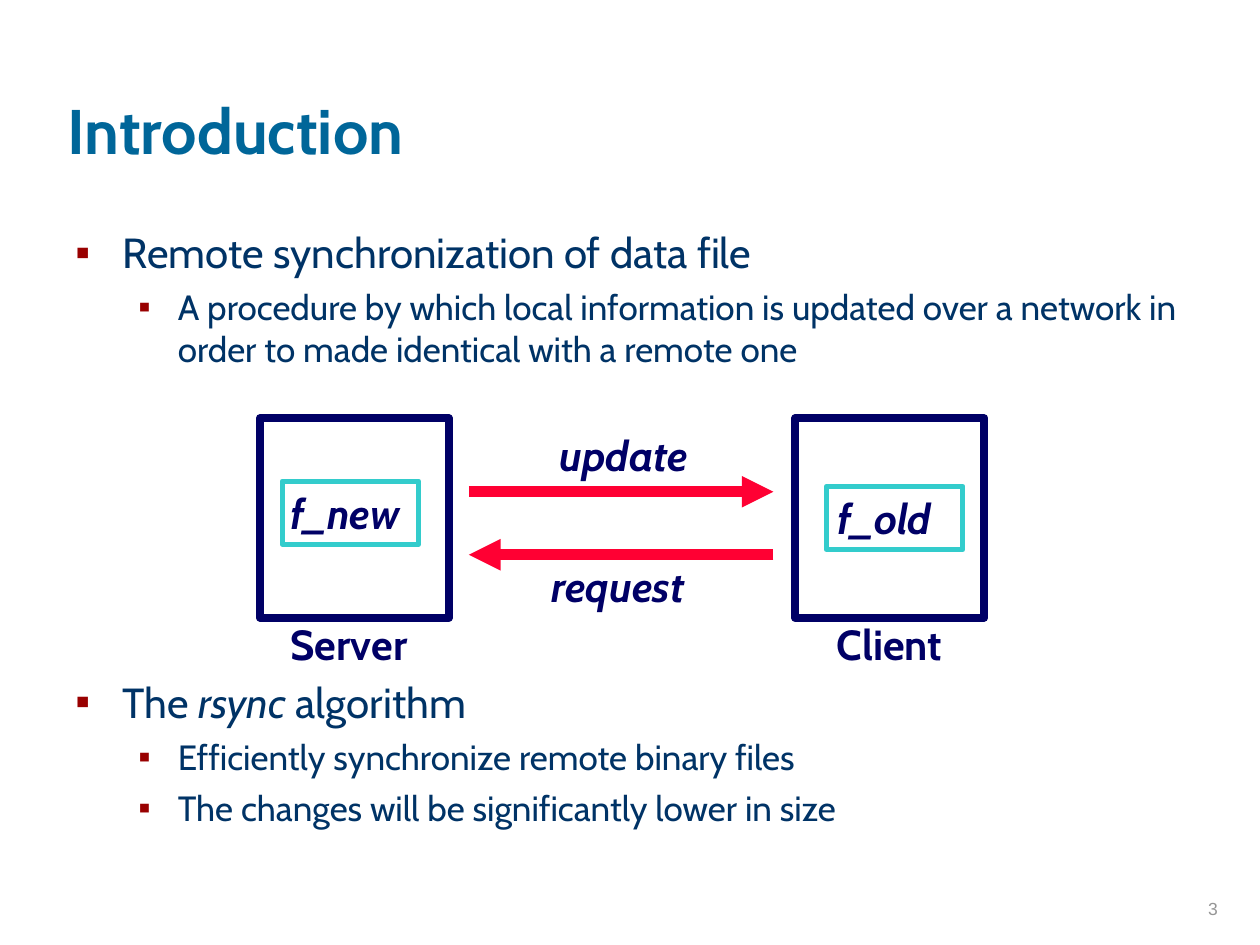
import pptx
import pptx.util
import pptx.dml.color
import pptx.enum.shapes
import pptx.enum.text
import pptx.oxml.ns
import lxml.etree

Pt = pptx.util.Pt
RGBColor = pptx.dml.color.RGBColor
ALIGN = pptx.enum.text.PP_ALIGN
ANCHOR = pptx.enum.text.MSO_ANCHOR
FIT = pptx.enum.text.MSO_AUTO_SIZE

TEAL = RGBColor(0x00, 0x66, 0x99)
BODY_BLUE = RGBColor(0x00, 0x33, 0x66)
NAVY = RGBColor(0x00, 0x00, 0x66)
CYAN = RGBColor(0x33, 0xCC, 0xCC)
RED = RGBColor(0xFF, 0x00, 0x33)
GREY = RGBColor(0x96, 0x96, 0x96)
BULLET_RED = RGBColor(0x99, 0x00, 0x00)

TITLE = "Introduction"
PAGE_NUMBER = "3"

# level, space before, spans of (text, italic)
BULLETS = [
    (0, 0, [("Remote synchronization of data file", False)]),
    (1, 5, [("A procedure by which local information is updated over a network in "
             "order to made identical with a remote one", False)]),
    (0, 175, [("The ", False), ("rsync", True), (" algorithm", False)]),
    (1, 5, [("Efficiently synchronize remote binary files", False)]),
    (1, 5, [("The changes will be significantly lower in size", False)]),
]
LEVELS = [(24, 27, -27), (20, 58.5, -22.5)]

MACHINES = [(148.5, 239, 108, 114), (454.5, 239, 108, 114)]
FILES = [(161.25, 275, 78, 36), (472.25, 278, 78, 36)]
ARROWS = [(268, 442, 281), (442, 268, 317)]
LABELS = [
    ("Server", (159, 350, 91.5, 36), False, ALIGN.LEFT),
    ("Client", (471, 350, 84, 36), False, ALIGN.LEFT),
    ("f_new", (159, 275, 80, 36), True, ALIGN.LEFT),
    ("f_old", (471.5, 278, 68.5, 36), True, ALIGN.LEFT),
    ("update", (309, 245, 95, 33), True, ALIGN.CENTER),
    ("request", (302.5, 320, 101, 33), True, ALIGN.CENTER),
]


def add_element(parent, tag, **attributes):
    return lxml.etree.SubElement(parent, pptx.oxml.ns.qn(tag), attributes)


def style(font, size, color, name="Cabin", bold=False, italic=False):
    font.name, font.size, font.bold, font.italic = name, Pt(size), bold, italic
    font.color.rgb = color


def add_text_box(page, bounds):
    box = page.shapes.add_textbox(*map(Pt, bounds))
    box.text_frame.word_wrap = True
    return box.text_frame


def add_bullet(paragraph, margin, indent):
    properties = paragraph._p.get_or_add_pPr()
    properties.set("marL", str(Pt(margin)))
    properties.set("indent", str(Pt(indent)))
    add_element(add_element(properties, "a:buClr"), "a:srgbClr", val=str(BULLET_RED))
    add_element(properties, "a:buFont", typeface="Arial")
    add_element(properties, "a:buChar", char="▪")


def add_title(page):
    title = page.shapes.title
    title.left, title.top, title.width, title.height = map(Pt, (31.5, 9, 612, 90))
    frame = title.text_frame
    frame.text = TITLE
    frame.auto_size = FIT.NONE
    frame.vertical_anchor = ANCHOR.BOTTOM
    frame.paragraphs[0].alignment = ALIGN.LEFT
    style(frame.paragraphs[0].runs[0].font, 36, TEAL, bold=True)


def add_body(page):
    frame = add_text_box(page, (36, 126, 644, 351))
    for number, (level, space, spans) in enumerate(BULLETS):
        paragraph = frame.add_paragraph() if number else frame.paragraphs[0]
        size, margin, indent = LEVELS[level]
        paragraph.level = level
        add_bullet(paragraph, margin, indent)
        paragraph.space_before = Pt(space)
        for text, italic in spans:
            span = paragraph.add_run()
            span.text = text
            style(span.font, size, BODY_BLUE, italic=italic)


def add_outline(page, bounds, color, width):
    box = page.shapes.add_shape(pptx.enum.shapes.MSO_SHAPE.RECTANGLE, *map(Pt, bounds))
    box.shadow.inherit = False
    box.fill.background()
    box.line.color.rgb = color
    box.line.width = Pt(width)


def add_arrow(page, start, end, y):
    arrow = page.shapes.add_connector(
        pptx.enum.shapes.MSO_CONNECTOR.STRAIGHT, Pt(start), Pt(y), Pt(end), Pt(y))
    arrow.line.color.rgb = RED
    arrow.line.width = Pt(6)
    add_element(arrow.line._get_or_add_ln(), "a:tailEnd", type="triangle")
    add_element(arrow._element.spPr, "a:effectLst")


def add_label(page, text, bounds, italic, alignment):
    frame = add_text_box(page, bounds)
    frame.word_wrap = False
    frame.auto_size = FIT.SHAPE_TO_FIT_TEXT
    frame.text = text
    paragraph = frame.paragraphs[0]
    paragraph.alignment = alignment
    if alignment == ALIGN.CENTER:
        paragraph.line_spacing = 0.9
    style(paragraph.runs[0].font, 24, NAVY, bold=True, italic=italic)


def add_page_number(page):
    frame = add_text_box(page, (553, 492.5, 150, 36))
    frame.vertical_anchor = ANCHOR.BOTTOM
    frame.text = PAGE_NUMBER
    frame.paragraphs[0].alignment = ALIGN.RIGHT
    style(frame.paragraphs[0].runs[0].font, 10, GREY, name="Arial")


def main():
    deck = pptx.Presentation()
    deck.slide_width, deck.slide_height = Pt(720), Pt(540)
    page = deck.slides.add_slide(deck.slide_layouts[5])
    add_title(page)
    add_body(page)
    for bounds in MACHINES:
        add_outline(page, bounds, NAVY, 4.5)
    for bounds in FILES:
        add_outline(page, bounds, CYAN, 3)
    for arrow in ARROWS:
        add_arrow(page, *arrow)
    for label in LABELS:
        add_label(page, *label)
    add_page_number(page)
    deck.save("out.pptx")


if __name__ == "__main__":
    main()
